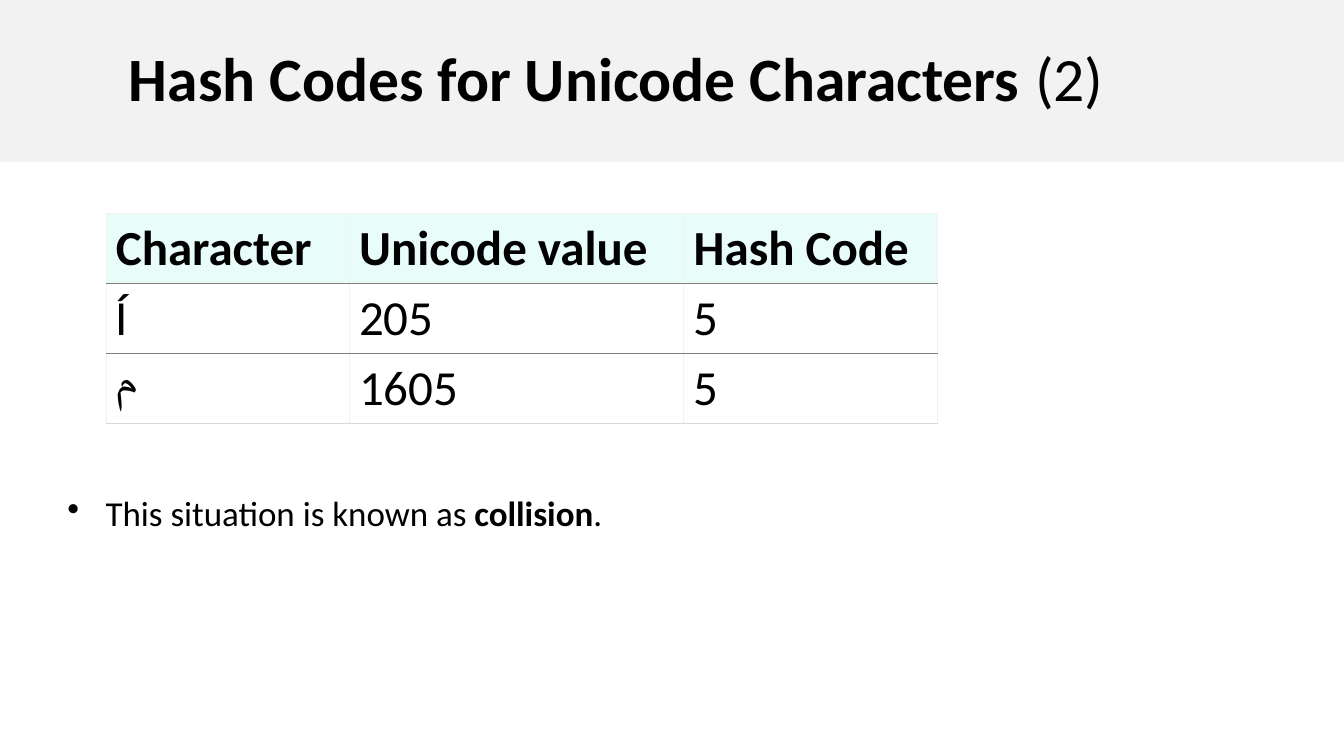
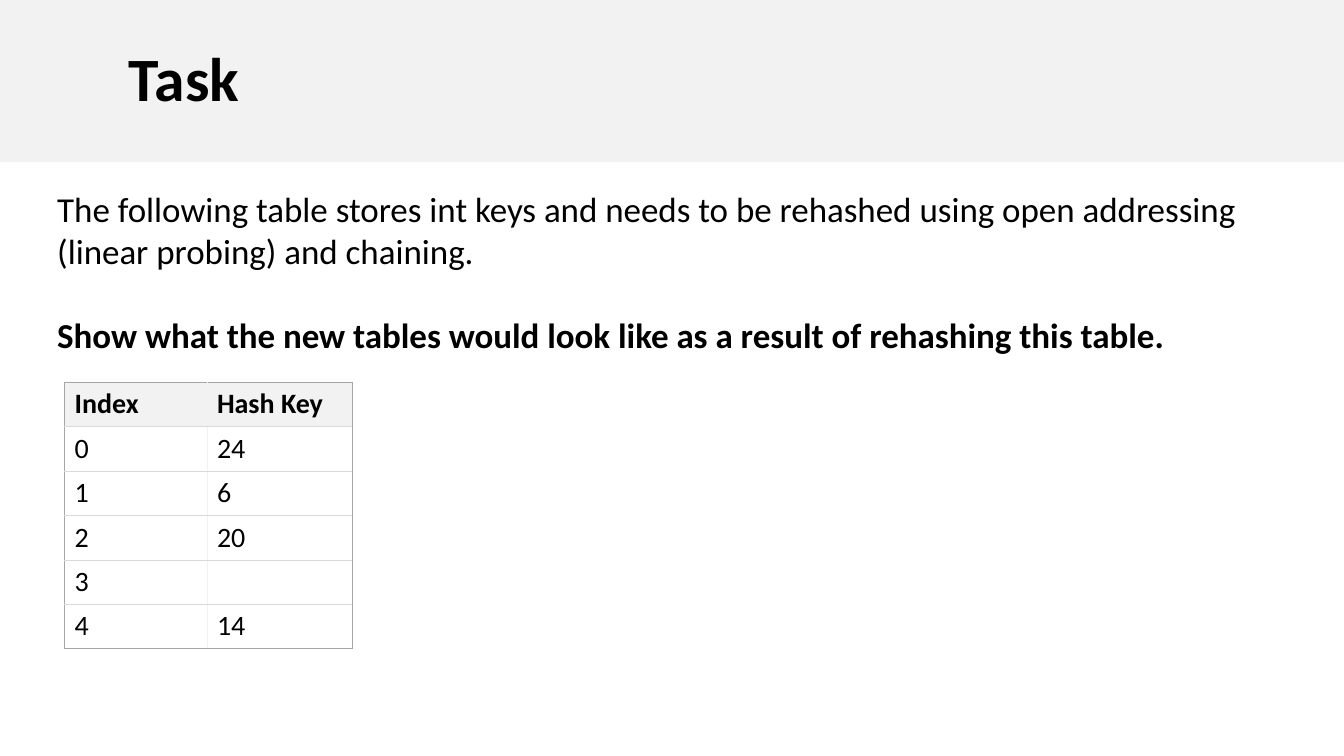
from lxml import etree
from pptx import Presentation
from pptx import util as u
from pptx.dml.color import RGBColor
from pptx.enum import shapes, text
from pptx.oxml import ns

COLORS = {"ink": "000000", "paper": "FFFFFF", "band": "F2F2F2", "mint": "E8FCFA",
          "faint": "F2F2F2", "light": "D9D9D9", "frame": "A6A6A6", "rule": "7F7F7F"}
FONT = "Calibri"
BODY_SIZE = 25

presentation = Presentation()
presentation.slide_width = u.Inches(13.34)
presentation.slide_height = u.Inches(7.5)

# Grid: 100 columns by 100 rows over the slide
COLUMN = presentation.slide_width / 100
ROW = presentation.slide_height / 100


def area(left, top, width, height):
    return [int(left * COLUMN), int(top * ROW), int(width * COLUMN), int(height * ROW)]


def write(paragraph, runs, size):
    """Fill a paragraph with (words, bold) runs in the shared style."""
    paragraph.alignment = text.PP_ALIGN.LEFT
    paragraph.font.name = FONT
    paragraph.font.size = u.Pt(size)
    paragraph.font.color.rgb = RGBColor.from_string(COLORS["ink"])
    for words, bold in runs:
        run = paragraph.add_run()
        run.text = words
        run.font.bold = bold


# Slides with their title bands
titles = [
    [("Hash Codes for Unicode Characters ", True), ("(2)", False)],
    [("Task", True)],
]
for title in titles:
    slide = presentation.slides.add_slide(presentation.slide_layouts[6])
    band = slide.shapes.add_shape(shapes.MSO_SHAPE.RECTANGLE, *area(0, 0, 100, 21.47))
    band.shadow.inherit = False
    band.fill.solid()
    band.fill.fore_color.rgb = RGBColor.from_string(COLORS["band"])
    band.line.fill.background()
    frame = band.text_frame
    frame.margin_left = int(9.6 * COLUMN)
    frame.vertical_anchor = text.MSO_ANCHOR.MIDDLE
    frame.paragraphs[0].line_spacing = 0.9
    write(frame.paragraphs[0], title, 44)

character_slide, task_slide = presentation.slides

# Tables
tables = [
    dict(slide=character_slide, left=7.87, top=28.27, widths=[18.1, 24.9, 18.9],
         row_height=9.2, size=35, header="mint",
         sides="faint", top_edge="faint", bottom_edge="light", inner="rule",
         rows=[("Character", "Unicode value", "Hash Code"),
               ("Í", "205", "5"),
               ("م", "1605", "5")]),
    dict(slide=task_slide, left=4.8, top=50.53, widths=[10.6, 10.8],
         row_height=5.88, size=20, header="band",
         sides="frame", top_edge="frame", bottom_edge="frame", inner="light",
         rows=[("Index", "Hash Key"), ("0", "24"), ("1", "6"),
               ("2", "20"), ("3", ""), ("4", "14")]),
]
for item in tables:
    rows, widths = item["rows"], item["widths"]
    place = area(item["left"], item["top"], sum(widths), item["row_height"] * len(rows))
    table = item["slide"].shapes.add_table(len(rows), len(widths), *place).table
    for column, width in zip(table.columns, widths):
        column.width = int(width * COLUMN)
    for row_index, words_row in enumerate(rows):
        table.rows[row_index].height = int(item["row_height"] * ROW)
        for column_index, words in enumerate(words_row):
            cell = table.cell(row_index, column_index)
            is_header = row_index == 0
            write(cell.text_frame.paragraphs[0], [(words, is_header)] if words else [],
                  item["size"])
            # Borders come before the fill in the cell properties
            borders = {
                "a:lnL": item["sides"] if column_index == 0 else "faint",
                "a:lnR": item["sides"] if column_index == len(widths) - 1 else "faint",
                "a:lnT": item["top_edge"] if is_header else item["inner"],
                "a:lnB": item["bottom_edge"] if row_index == len(rows) - 1 else item["inner"],
            }
            properties = cell._tc.get_or_add_tcPr()
            for tag, color in borders.items():
                line = etree.SubElement(properties, ns.qn(tag), w=str(u.Pt(0.45)))
                fill = etree.SubElement(line, ns.qn("a:solidFill"))
                etree.SubElement(fill, ns.qn("a:srgbClr"), val=COLORS[color])
            cell.fill.solid()
            cell.fill.fore_color.rgb = RGBColor.from_string(
                COLORS[item["header"] if is_header else "paper"])

# Bulleted remark under the character table
remark = character_slide.shapes.add_textbox(*area(4.27, 64.4, 89.9, 6.93)).text_frame
remark.word_wrap = True
paragraph = remark.paragraphs[0]
properties = paragraph._p.get_or_add_pPr()
properties.set("marL", str(u.Inches(0.38)))
properties.set("indent", str(-u.Inches(0.38)))
etree.SubElement(properties, ns.qn("a:buChar"), char="•")
write(paragraph, [("This situation is known as ", False), ("collision", True), (".", False)],
      BODY_SIZE)

# Task description
task = task_slide.shapes.add_textbox(*area(3.52, 24.13, 94.3, 23.6)).text_frame
task.word_wrap = True
write(task.paragraphs[0],
      [("The following table stores int keys and needs to be rehashed using open "
        "addressing (linear probing) and chaining.", False)], BODY_SIZE)
request = task.add_paragraph()
request.space_before = u.Pt(30)
write(request,
      [("Show what the new tables would look like as a result of rehashing this table.", True)],
      BODY_SIZE)

presentation.save("out.pptx")
